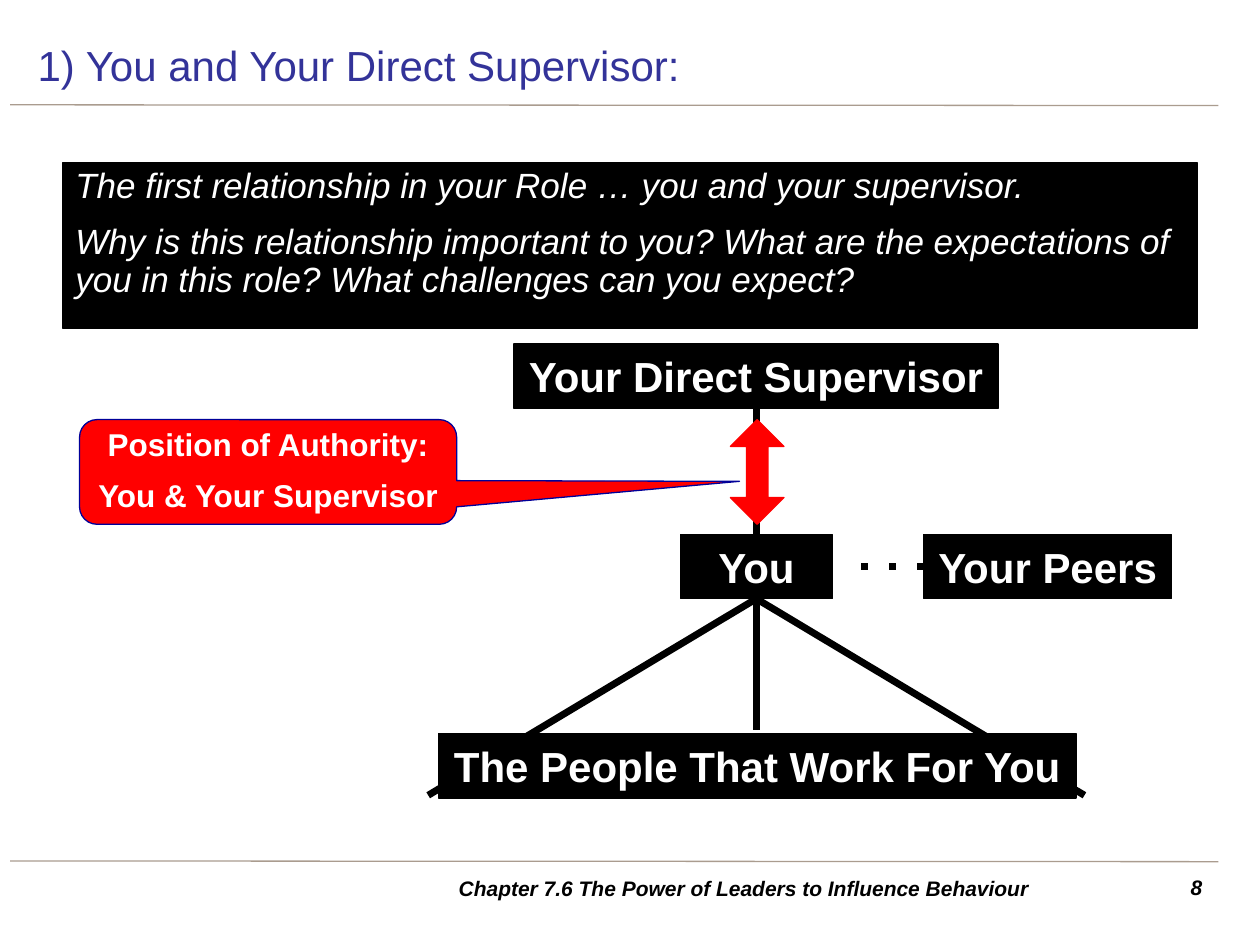
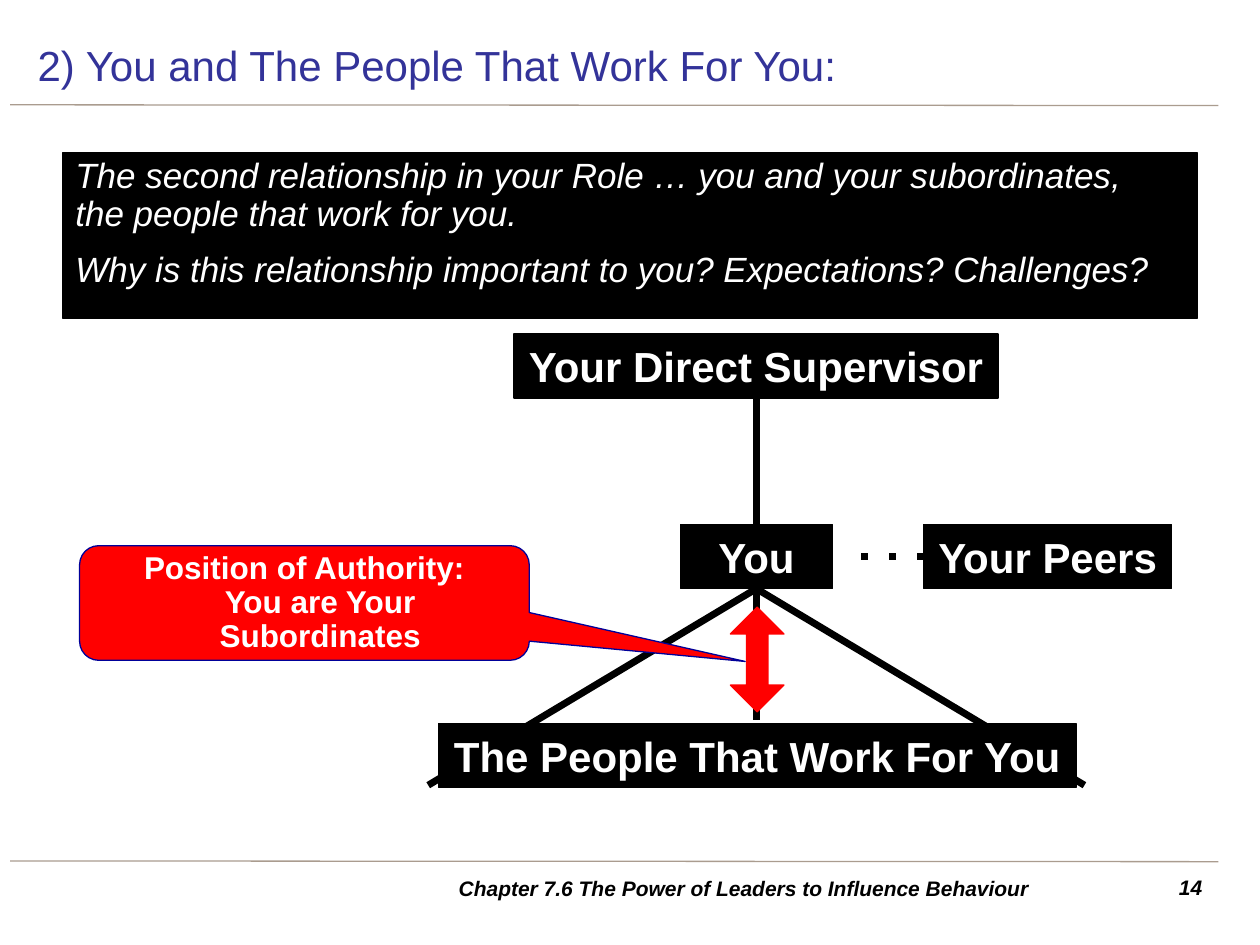
import pptx
import pptx.util
import pptx.dml.color
import pptx.enum.dml
import pptx.enum.shapes
import pptx.enum.text
import pptx.oxml.ns
import lxml.etree

Pt = pptx.util.Pt
SHAPE = pptx.enum.shapes.MSO_SHAPE
ALIGN = pptx.enum.text.PP_ALIGN
ANCHOR = pptx.enum.text.MSO_ANCHOR

COLOURS = {"title": "333399", "rule": "AA9C8F", "black": "000000",
           "white": "FFFFFF", "red": "FF0000", "callout_edge": "000099"}
FONT = "Arial"
FOOTER = "Chapter 7.6 The Power of Leaders to Influence Behaviour"

SLIDES = [
    {"title": "1) You and Your Direct Supervisor:",
     "number": "8",
     "intro": ["The first relationship in your Role … you and your supervisor.",
               "Why is this relationship important to you? What are the expectations of "
               "you in this role? What challenges can you expect?"],
     "tree_top": 196.56,
     "arrow_top": 239.8,
     "callout": ["Position of Authority:", "You & Your Supervisor"],
     "callout_place": (45.5, 239.8, 215.5, 59.8),
     "callout_tip": (1.25, 0.09)},
    {"title": "2) You and The People That Work For You:",
     "number": "14",
     "intro": ["The second relationship in your Role … you and your subordinates, \v"
               "the people that work for you.",
               "Why is this relationship important to you? Expectations? Challenges?"],
     "tree_top": 190.8,
     "arrow_top": 347,
     "callout": ["Position of Authority:\vYou are Your Subordinates"],
     "callout_place": (45.5, 311.8, 257, 65.5),
     "callout_tip": (0.98, 0.51)},
]

BOX_HEIGHT = 36.7
TREE_CENTRE = 432.2
PEERS_LEFT = 527.8
TREE_BOXES = [
    ("Your Direct Supervisor", 293.8, 0, 276.5),
    ("You", 388.8, 108.9, 87),
    ("Your Peers", PEERS_LEFT, 108.9, 141.8),
    ("The People That Work For You", 250.6, 222.7, 364.3),
]


def colour(name):
    return pptx.dml.color.RGBColor.from_string(COLOURS[name])


def paint(shape, fill, edge=None):
    shape.shadow.inherit = False
    shape.fill.solid()
    shape.fill.fore_color.rgb = colour(fill)
    if edge:
        shape.line.color.rgb = colour(edge)
        shape.line.width = Pt(0.75)
    else:
        shape.line.fill.background()


def add_block(page, kind, place, fill, edge=None):
    box = page.shapes.add_shape(kind, *map(Pt, place))
    paint(box, fill, edge)
    return box


def write(box, texts, size, ink, align=ALIGN.LEFT, anchor=ANCHOR.MIDDLE,
          bold=False, italic=False, wrap=True, spacing=None, hanging=0):
    frame = box.text_frame
    frame.word_wrap = wrap
    frame.vertical_anchor = anchor
    for index, text in enumerate(texts):
        para = frame.add_paragraph() if index else frame.paragraphs[0]
        para.text = text
        para.alignment = align
        if spacing:
            para.line_spacing = spacing
        if index:
            para.space_before = Pt(10)
        if hanging:
            properties = para._p.get_or_add_pPr()
            properties.set("marL", str(Pt(hanging)))
            properties.set("indent", str(-Pt(hanging)))
        for span in para.runs:
            span.font.name = FONT
            span.font.size = Pt(size)
            span.font.bold = bold
            span.font.italic = italic
            span.font.color.rgb = colour(ink)


def add_line(page, start, end, ink, width, dotted=False):
    line = page.shapes.add_connector(
        pptx.enum.shapes.MSO_CONNECTOR.STRAIGHT, *map(Pt, start + end))
    line.line.color.rgb = colour(ink)
    line.line.width = Pt(width)
    if dotted:
        line.line.dash_style = pptx.enum.dml.MSO_LINE.ROUND_DOT
        line.line._ln.find(pptx.oxml.ns.qn("a:prstDash")).set("val", "dot")
    lxml.etree.SubElement(line._element.spPr, pptx.oxml.ns.qn("a:effectLst"))


def add_frame(page, title, number):
    for top in (59.9, 492):
        add_line(page, (5.8, top), (696.2, top + 0.4), "rule", 0.75)
    heading = add_block(page, SHAPE.RECTANGLE, (14.4, 17.3, 680.4, 39.6), "white")
    write(heading, [title], 24, "title")
    for text, left, width, align, anchor in (
            (number, 652.3, 41.8, ALIGN.RIGHT, ANCHOR.TOP),
            (FOOTER, 212.4, 425.5, ALIGN.CENTER, ANCHOR.MIDDLE)):
        box = page.shapes.add_textbox(Pt(left), Pt(496.1), Pt(width), Pt(22.3))
        write(box, [text], 12, "black", align, anchor, bold=True, italic=True)


def add_tree(page, top):
    you_top = top + TREE_BOXES[1][2]
    you_bottom = you_top + BOX_HEIGHT
    add_line(page, (TREE_CENTRE, top + BOX_HEIGHT), (TREE_CENTRE, you_top), "black", 4)
    for reach, drop in ((0, 74.9), (-187.5, 112.3), (187.5, 112.3)):
        add_line(page, (TREE_CENTRE, you_bottom),
                 (TREE_CENTRE + reach, you_bottom + drop), "black", 4)
    middle = you_top + BOX_HEIGHT / 2
    add_line(page, (PEERS_LEFT, middle), (490.3, middle), "black", 4, dotted=True)
    for label, left, offset, width in TREE_BOXES:
        box = add_block(page, SHAPE.RECTANGLE, (left, top + offset, width, BOX_HEIGHT),
                        "black", "black")
        write(box, [label], 24, "white", ALIGN.CENTER, bold=True, wrap=False)


def build_page(deck, content):
    page = deck.slides.add_slide(deck.slide_layouts[6])
    add_frame(page, content["title"], content["number"])
    add_tree(page, content["tree_top"])

    intro = add_block(page, SHAPE.RECTANGLE, (36, content["tree_top"] - 103.7, 648, 95),
                      "black", "black")
    write(intro, content["intro"], 20, "white", anchor=ANCHOR.TOP, italic=True, spacing=0.9)

    arrow = add_block(page, SHAPE.UP_DOWN_ARROW, (417.4, content["arrow_top"], 30.6, 59.8),
                      "red", "red")
    arrow.adjustments[0] = 0.5
    arrow.adjustments[1] = 0.4

    callout = add_block(page, SHAPE.ROUNDED_RECTANGULAR_CALLOUT, content["callout_place"],
                        "red", "callout_edge")
    for index, value in enumerate(content["callout_tip"]):
        callout.adjustments[index] = value
    write(callout, content["callout"], 18, "white", ALIGN.CENTER, bold=True,
          spacing=0.9, hanging=18)


def main():
    deck = pptx.Presentation()
    deck.slide_width = Pt(720)
    deck.slide_height = Pt(540)
    for content in SLIDES:
        build_page(deck, content)
    deck.save("out.pptx")


if __name__ == "__main__":
    main()
